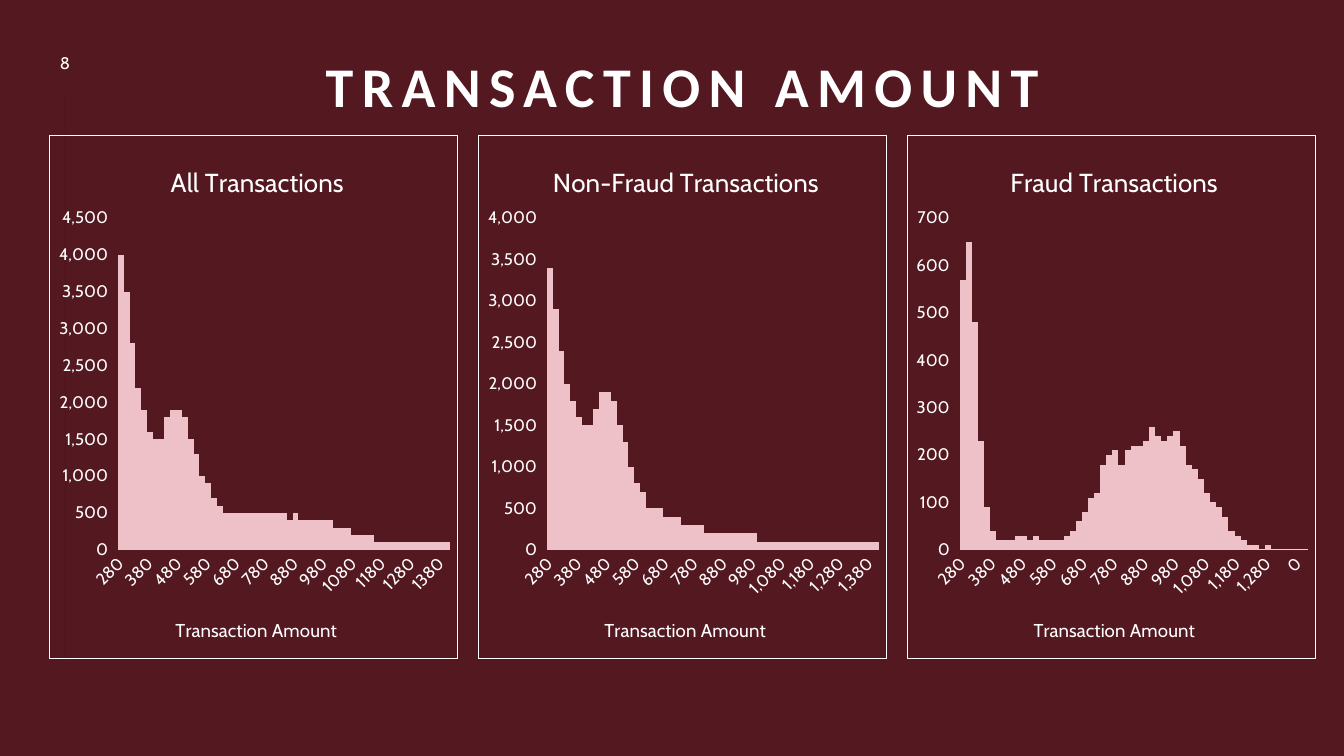
import lxml.etree
import pptx
import pptx.chart.data
import pptx.dml.color
import pptx.enum.chart
import pptx.enum.shapes
import pptx.enum.text
import pptx.oxml.ns
import pptx.util

Inches, Pt = pptx.util.Inches, pptx.util.Pt
qn = pptx.oxml.ns.qn
COLORS = {"background": "531820", "rule": "4B151D", "text": "FFFFFF",
          "bars": "EDC1C7", "axis": "D9D9D9"}
BODY_FONT, TITLE_FONT = "Cabin", "Calibri"

PANEL_LEFT, PANEL_TOP, PANEL_WIDTH, PANEL_HEIGHT, PANEL_STEP = 0.49, 1.34, 4.05, 5.2, 4.255
AMOUNTS = list(range(280, 1401, 20))

HISTOGRAMS = [
    {"title": "All Transactions", "title_x": 0.285, "plot_x": 0.167, "format": "General",
     "max": 4500, "step": 500, "amounts": AMOUNTS,
     "counts": [4000, 3500, 2800, 2200, 1900, 1600, 1500, 1500, 1800, 1900, 1900, 1800,
                1500, 1300, 1000, 900, 700, 600] + [500] * 11 + [400, 500] + [400] * 6
               + [300] * 3 + [200] * 4 + [100] * 13},
    {"title": "Non-Fraud Transactions", "title_x": 0.17, "plot_x": 0.167, "format": "#,##0",
     "max": 4000, "step": 500, "amounts": AMOUNTS,
     "counts": [3400, 2900, 2400, 2000, 1800, 1600, 1500, 1500, 1700, 1900, 1900, 1800,
                1500, 1300, 1000, 800, 700] + [500] * 3 + [400] * 3 + [300] * 4
               + [200] * 9 + [100] * 21},
    {"title": "Fraud Transactions", "title_x": 0.24, "plot_x": 0.127, "format": "#,##0",
     "max": 700, "step": 100, "amounts": AMOUNTS[:-2] + [None, None],
     "counts": [570, 650, 480, 230, 90, 40, 20, 20, 20, 30, 30, 20, 30, 20, 20, 20, 20, 30,
                40, 60, 80, 110, 120, 180, 200, 210, 180, 210, 220, 220, 230, 260, 240, 230,
                240, 250, 220, 180, 170, 150, 120, 100, 90, 70, 40, 30, 20, 10, 10, 0, 10,
                0, 0, None, 0, None, None]},
]


def rgb(name):
    return pptx.dml.color.RGBColor.from_string(COLORS[name])


def style_font(font, size, name=BODY_FONT, **formats):
    for attribute, value in {"size": Pt(size), "name": name, **formats}.items():
        setattr(font, attribute, value)
    font.color.rgb = rgb("text")


def set_layout(element, position, inner=False, **fractions):
    """Place a chart part by fractions of the chart area."""
    layout = element.find(qn("c:layout"))
    if layout is None:
        layout = lxml.etree.Element(qn("c:layout"))
        element.insert(position, layout)
    manual = lxml.etree.SubElement(layout, qn("c:manualLayout"))
    settings = {"layoutTarget": "inner"} if inner else {}
    settings.update(xMode="edge", yMode="edge", **fractions)
    for tag, value in settings.items():
        lxml.etree.SubElement(manual, qn("c:" + tag)).set("val", str(value))


def add_heading(slide, left, top, width, height):
    heading = slide.shapes.title
    for attribute, value in {"left": left, "top": top, "width": width, "height": height}.items():
        setattr(heading, attribute, Inches(value))
    heading.text_frame.vertical_anchor = pptx.enum.text.MSO_ANCHOR.BOTTOM
    paragraph = heading.text_frame.paragraphs[0]
    paragraph.alignment = pptx.enum.text.PP_ALIGN.CENTER
    paragraph.line_spacing = 0.9
    words = paragraph.add_run()
    words.text = "TRANSACTION AMOUNT"
    style_font(words.font, 40, TITLE_FONT, bold=True)
    words.font._element.set("spc", "600")


def add_margin(slide, left, top, width, height):
    """Page number with the thin rule below it."""
    center = Inches(left + width / 2)
    rule = slide.shapes.add_connector(pptx.enum.shapes.MSO_CONNECTOR.STRAIGHT,
                                      center, Inches(0.93), center, Inches(6.52))
    rule.line.color.rgb = rgb("rule")
    rule.line.width = Pt(0.5)
    lxml.etree.SubElement(rule._element.spPr, qn("a:effectLst"))

    number = slide.shapes.add_textbox(*map(Inches, (left, top, width, height))).text_frame
    number.word_wrap = True
    number.vertical_anchor = pptx.enum.text.MSO_ANCHOR.MIDDLE
    number.text = "8"
    number.paragraphs[0].alignment = pptx.enum.text.PP_ALIGN.CENTER
    style_font(number.paragraphs[0].runs[0].font, 12)


def add_chart_title(title, text, size, x, y):
    title.text_frame.text = text
    style_font(title.text_frame.paragraphs[0].runs[0].font, size, bold=False)
    set_layout(title._element, 1, x=x, y=y)


def add_border(chart):
    frame = lxml.etree.Element(qn("c:spPr"))
    lxml.etree.SubElement(frame, qn("a:noFill"))
    line = lxml.etree.SubElement(frame, qn("a:ln"), w=str(int(Pt(0.75))))
    fill = lxml.etree.SubElement(line, qn("a:solidFill"))
    lxml.etree.SubElement(fill, qn("a:srgbClr"), val=COLORS["text"])
    chart._chartSpace.find(qn("c:chart")).addnext(frame)


def add_histogram(slide, histogram, left, top, width, height):
    data = pptx.chart.data.CategoryChartData()
    data.categories = histogram["amounts"]
    data.categories.number_format = histogram["format"]
    data.add_series("Series 1", histogram["counts"])
    chart = slide.shapes.add_chart(pptx.enum.chart.XL_CHART_TYPE.COLUMN_CLUSTERED,
                                   *map(Inches, (left, top, width, height)), data).chart
    chart.has_legend = False
    style_font(chart.font, 10)
    add_border(chart)
    for point in list(chart._chartSpace.iter(qn("c:pt"))):
        if not point.findtext(qn("c:v")):
            point.getparent().remove(point)

    # Bars
    plot = chart.plots[0]
    plot.gap_width = 0
    plot.vary_by_categories = False
    bars = plot.series[0].format.fill
    bars.solid()
    bars.fore_color.rgb = rgb("bars")
    set_layout(chart._chartSpace.chart.plotArea, 0, inner=True, x=histogram["plot_x"],
               y=0.158, w=round(0.982 - histogram["plot_x"], 3), h=0.634)

    # Axes
    amount_axis, count_axis = chart.category_axis, chart.value_axis
    tick = pptx.enum.chart.XL_TICK_MARK
    for axis, mark, number_format in ((amount_axis, tick.NONE, histogram["format"]),
                                      (count_axis, tick.OUTSIDE, "#,##0")):
        axis.has_major_gridlines = False
        axis.major_tick_mark = mark
        axis.minor_tick_mark = tick.NONE
        axis.tick_labels.number_format = number_format
        axis.tick_labels.number_format_is_linked = False
        style_font(axis.tick_labels.font, 12)
    amount_axis.format.line.color.rgb = rgb("axis")
    amount_axis.format.line.width = Pt(0.75)
    amount_axis._element.find(qn("c:txPr")).find(qn("a:bodyPr")).set("rot", "-2700000")
    label_skip = lxml.etree.Element(qn("c:tickLblSkip"), val="5")
    amount_axis._element.find(qn("c:noMultiLvlLbl")).addprevious(label_skip)
    count_axis.format.line.fill.background()
    for attribute, value in {"minimum_scale": 0, "maximum_scale": histogram["max"],
                             "major_unit": histogram["step"]}.items():
        setattr(count_axis, attribute, value)

    # Titles
    add_chart_title(chart.chart_title, histogram["title"], 18.6, histogram["title_x"], 0.045)
    add_chart_title(amount_axis.axis_title, "Transaction Amount", 13.3, 0.3, 0.914)


def main():
    deck = pptx.Presentation()
    deck.slide_width, deck.slide_height = Inches(13.33), Inches(7.5)
    slide = deck.slides.add_slide(deck.slide_layouts[5])
    slide.background.fill.solid()
    slide.background.fill.fore_color.rgb = rgb("background")
    add_margin(slide, 0.36, 0.45, 0.57, 0.34)
    add_heading(slide, 0.82, 0.07, 11.9, 1.17)
    for column, histogram in enumerate(HISTOGRAMS):
        add_histogram(slide, histogram, PANEL_LEFT + column * PANEL_STEP,
                      PANEL_TOP, PANEL_WIDTH, PANEL_HEIGHT)
    deck.save("out.pptx")


if __name__ == "__main__":
    main()
